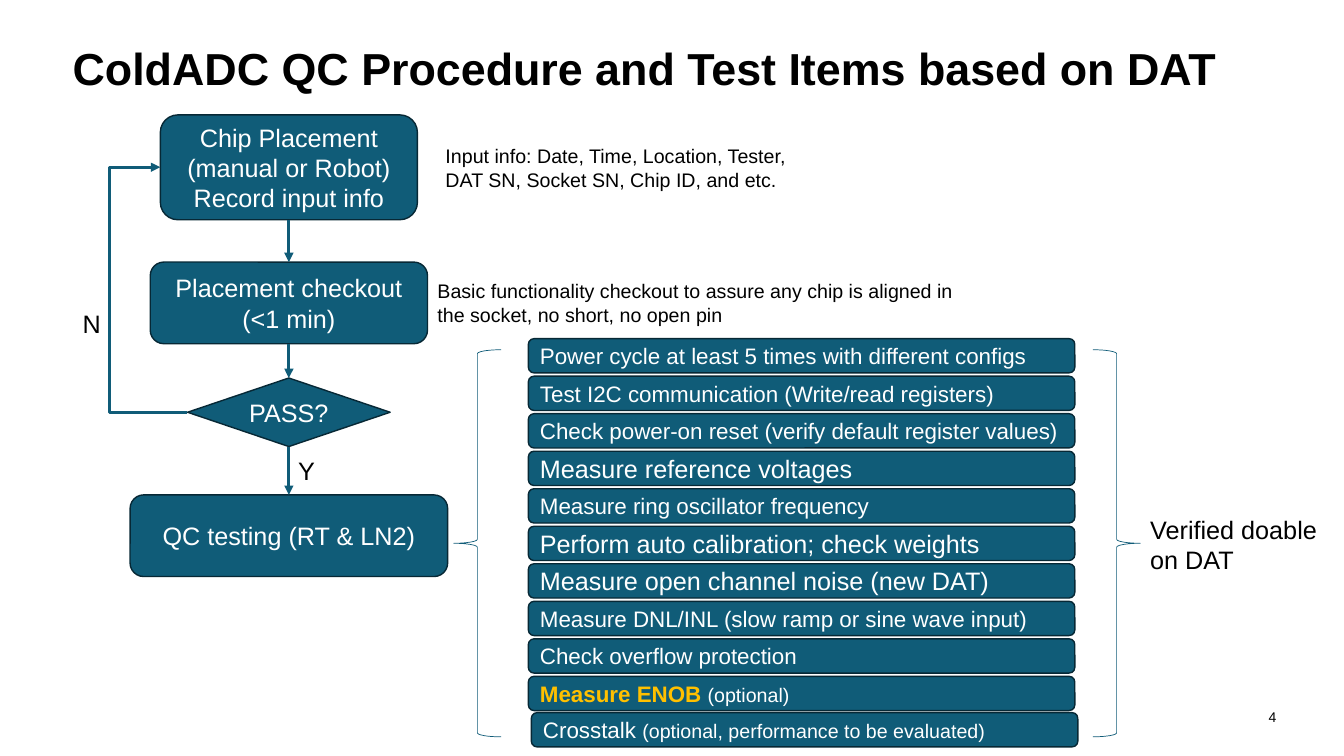
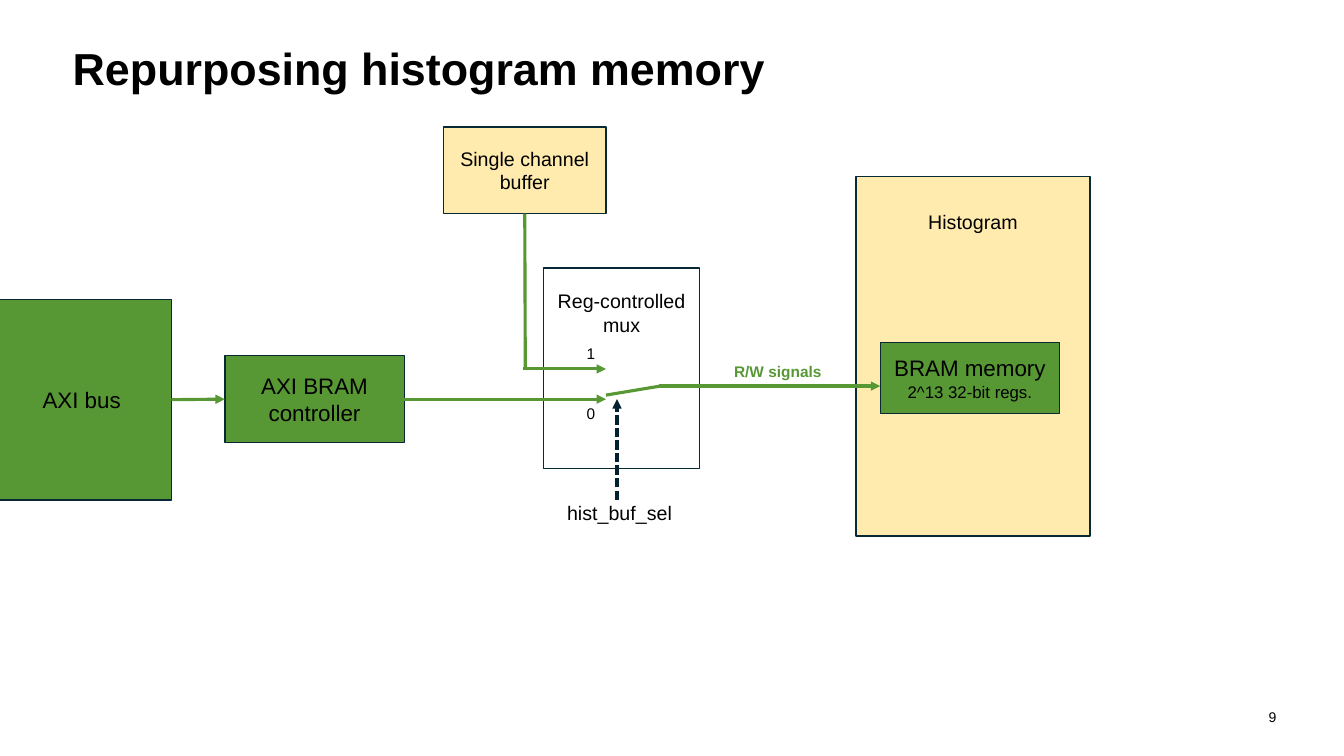
import dataclasses
import typing

import lxml.etree
import pptx
import pptx.dml.color
import pptx.enum.dml
import pptx.enum.shapes
import pptx.enum.text
import pptx.oxml.ns
import pptx.util

Inches = pptx.util.Inches
Preset = pptx.enum.shapes.MSO_SHAPE
Align = pptx.enum.text.PP_ALIGN
Anchor = pptx.enum.text.MSO_ANCHOR
qn = pptx.oxml.ns.qn

FONT = "Arial"
COLORS = {
    "black": "000000",
    "white": "FFFFFF",
    "teal": "105C78",
    "outline": "072835",
    "navy": "03222F",
    "gold": "FFC000",
    "cream": "FFEBAE",
    "green": "579835",
}


@dataclasses.dataclass(frozen=True)
class Run:
    text: str
    size: float
    color: str = "black"
    bold: bool = False


Paragraphs = typing.Sequence[typing.Sequence[Run]]
Point = tuple[float, float]


@dataclasses.dataclass(frozen=True)
class Box:
    left: float
    top: float
    width: float
    height: float
    paragraphs: Paragraphs = ()
    fill: str | None = None
    line: str = "outline"
    line_width: float = 1
    preset: Preset = Preset.RECTANGLE
    align: Align = Align.CENTER
    top_inset: float | None = None


@dataclasses.dataclass(frozen=True)
class Label:
    left: float
    top: float
    width: float
    height: float
    run: Run
    align: Align = Align.LEFT
    wrap: bool = True


@dataclasses.dataclass(frozen=True)
class Wire:
    begin: Point
    end: Point
    color: str = "green"
    arrow: bool = True
    dashed: bool = False


def rgb(name: str) -> pptx.dml.color.RGBColor:
    return pptx.dml.color.RGBColor.from_string(COLORS[name])


def lines(text: str, size: float, color: str = "black") -> Paragraphs:
    return [[Run(line, size, color)] for line in text.split("\n")]


def write(text_frame, paragraphs: Paragraphs, align: Align) -> None:
    for index, runs in enumerate(paragraphs):
        paragraph = text_frame.add_paragraph() if index else text_frame.paragraphs[0]
        paragraph.alignment = align
        for item in runs:
            run = paragraph.add_run()
            run.text = item.text
            run.font.name = FONT
            run.font.size = pptx.util.Pt(item.size)
            run.font.bold = item.bold
            run.font.color.rgb = rgb(item.color)


def draw_box(slide, box: Box):
    shape = slide.shapes.add_shape(
        box.preset, Inches(box.left), Inches(box.top), Inches(box.width), Inches(box.height)
    )
    shape.shadow.inherit = False
    if box.fill:
        shape.fill.solid()
        shape.fill.fore_color.rgb = rgb(box.fill)
    else:
        shape.fill.background()
    shape.line.color.rgb = rgb(box.line)
    shape.line.width = pptx.util.Pt(box.line_width)
    text_frame = shape.text_frame
    text_frame.word_wrap = True
    text_frame.vertical_anchor = Anchor.MIDDLE
    if box.top_inset is not None:
        text_frame.vertical_anchor = Anchor.TOP
        text_frame.margin_top = Inches(box.top_inset)
    write(text_frame, box.paragraphs, box.align)
    return shape


def draw_label(slide, label: Label):
    shape = slide.shapes.add_textbox(
        Inches(label.left), Inches(label.top), Inches(label.width), Inches(label.height)
    )
    shape.text_frame.word_wrap = label.wrap
    write(shape.text_frame, [[label.run]], label.align)
    return shape


def draw_wire(slide, wire: Wire, begin=None, end=None, bend: float | None = None) -> None:
    kinds = pptx.enum.shapes.MSO_CONNECTOR
    connector = slide.shapes.add_connector(
        kinds.STRAIGHT if bend is None else kinds.ELBOW,
        *(Inches(value) for value in wire.begin + wire.end),
    )
    if begin:
        connector.begin_connect(*begin)
    if end:
        connector.end_connect(*end)
    connector.line.color.rgb = rgb(wire.color)
    connector.line.width = pptx.util.Pt(2.25)
    if wire.dashed:
        connector.line.dash_style = pptx.enum.dml.MSO_LINE.SQUARE_DOT
    properties = connector.element.spPr
    if wire.arrow:
        lxml.etree.SubElement(properties.find(qn("a:ln")), qn("a:tailEnd"), type="triangle")
    lxml.etree.SubElement(properties, qn("a:effectLst"))
    if bend is not None:
        adjustments = properties.find(qn("a:prstGeom")).find(qn("a:avLst"))
        lxml.etree.SubElement(
            adjustments, qn("a:gd"), name="adj1", fmla=f"val {round(bend * 100000)}"
        )


def add_slide(presentation, title: str, number: int):
    slide = presentation.slides.add_slide(presentation.slide_layouts[5])
    heading = slide.shapes.title
    heading.left, heading.top = Inches(0.62), Inches(0.4)
    heading.width, heading.height = Inches(12.08), Inches(0.61)
    text_frame = heading.text_frame
    text_frame.auto_size = pptx.enum.text.MSO_AUTO_SIZE.NONE
    text_frame.vertical_anchor = Anchor.MIDDLE
    write(text_frame, [[Run(title, 32, bold=True)]], Align.LEFT)
    text_frame.paragraphs[0].line_spacing = 0.9

    footer = draw_label(
        slide, Label(12.24, 6.91, 0.47, 0.4, Run(str(number), 10), Align.RIGHT)
    ).text_frame
    footer.vertical_anchor = Anchor.MIDDLE
    footer.margin_left = footer.margin_top = footer.margin_bottom = 0
    footer.margin_right = Inches(0.05)
    return slide


def build_procedure(presentation) -> None:
    slide = add_slide(presentation, "ColdADC QC Procedure and Test Items based on DAT", 4)

    def step(left, top, width, height, text, preset=Preset.ROUNDED_RECTANGLE):
        return draw_box(
            slide,
            Box(left, top, width, height, lines(text, 18, "white"), "teal", preset=preset),
        )

    placement = step(
        1.59, 1.14, 2.55, 1.04, "Chip Placement\n(manual or Robot)\nRecord input info"
    )
    checkout = step(1.49, 2.6, 2.75, 0.81, "Placement checkout\n(<1 min)")
    decision = step(1.86, 3.75, 2.01, 0.68, "PASS?", Preset.DIAMOND)
    testing = step(1.29, 4.91, 3.15, 0.81, "QC testing (RT & LN2)")

    flow = [placement, checkout, decision, testing]
    for upper, lower in zip(flow, flow[1:]):
        draw_wire(slide, Wire((0, 0), (0, 0), "teal"), (upper, 2), (lower, 0))
    retry = Wire((1.86, 4.09), (1.59, 1.66), "teal")
    retry_left = 1.09
    bend = (retry.begin[0] - retry_left) / (retry.begin[0] - retry.end[0])
    draw_wire(slide, retry, (decision, 1), (placement, 1), bend)

    for label in (
        Label(4.32, 1.38, 3.91, 0.57, Run(
            "Input info: Date, Time, Location, Tester, DAT SN, Socket SN, Chip ID, and etc.", 14)),
        Label(4.24, 2.72, 5.35, 0.57, Run(
            "Basic functionality checkout to assure any chip is aligned in the socket, "
            "no short, no open pin", 14)),
        Label(2.86, 4.47, 0.37, 0.4, Run("Y", 18), wrap=False),
        Label(0.72, 3.01, 0.38, 0.4, Run("N", 18), wrap=False),
        Label(11.31, 5.05, 1.93, 0.71, Run("Verified doable on DAT", 18)),
    ):
        draw_label(slide, label)

    for left, preset in ((4.5, Preset.LEFT_BRACE), (10.84, Preset.RIGHT_BRACE)):
        draw_box(slide, Box(left, 3.47, 0.47, 3.84, line="teal", line_width=0.5, preset=preset))

    def test_item(left: float, top: float, runs: typing.Sequence[Run]) -> None:
        draw_box(
            slide,
            Box(left, top, 5.42, 0.34, [runs], "teal",
                preset=Preset.ROUNDED_RECTANGLE, align=Align.LEFT),
        )

    test_items = [
        [Run(text, size, "white")]
        for text, size in (
            ("Power cycle at least 5 times with different configs", 16),
            ("Test I2C communication (Write/read registers)", 16),
            ("Check power-on reset (verify default register values)", 16),
            ("Measure reference voltages", 18),
            ("Measure ring oscillator frequency", 16),
            ("Perform auto calibration; check weights", 18),
            ("Measure open channel noise (new DAT)", 18),
            ("Measure DNL/INL (slow ramp or sine wave input)", 16),
            ("Check overflow protection", 16),
        )
    ]
    test_items.append([Run("Measure ENOB ", 16, "gold", True), Run("(optional)", 14, "white")])
    first_top, last_top = 3.36, 6.71
    pitch = (last_top - first_top) / (len(test_items) - 1)
    for index, runs in enumerate(test_items):
        test_item(5.24, first_top + index * pitch, runs)
    test_item(5.27, 7.07, [
        Run("Crosstalk ", 16, "white"),
        Run("(optional, performance to be evaluated)", 14, "white"),
    ])


def build_memory(presentation) -> None:
    slide = add_slide(presentation, "Repurposing histogram memory", 9)

    channel_buffer = draw_box(
        slide, Box(4.4, 1.26, 1.61, 0.86, lines("Single channel buffer", 14), "cream"))
    draw_box(
        slide, Box(8.49, 1.75, 2.32, 3.57, lines("Histogram", 14), "cream", top_inset=0.33))
    draw_box(slide, Box(8.73, 3.4, 1.78, 0.7, [
        [Run("BRAM memory", 16)], [Run("2^13 32-bit regs.", 12)]], "green"))
    bus = draw_box(slide, Box(-0.08, 2.97, 1.78, 1.99, lines("AXI bus", 16), "green"))
    controller = draw_box(
        slide, Box(2.23, 3.53, 1.78, 0.86, lines("AXI BRAM controller", 16), "green"))
    draw_box(
        slide, Box(5.39, 2.66, 1.55, 1.99, lines("Reg-controlled mux", 14), top_inset=0.21))

    input_x, bus_y, buffer_y, output_y = 6.01, 3.96, 3.66, 3.83
    buffer_x = 5.21
    draw_wire(slide, Wire((1.7, bus_y), (2.23, bus_y)), (bus, 3), (controller, 1))
    draw_wire(slide, Wire((4.01, bus_y), (input_x, bus_y)), (controller, 3))
    draw_wire(
        slide, Wire((buffer_x, 2.12), (buffer_x, buffer_y), arrow=False), (channel_buffer, 2))
    for wire in (
        Wire((buffer_x - 0.02, buffer_y), (input_x, buffer_y)),
        Wire((6.54, output_y), (8.73, output_y)),
        Wire((6.55, output_y), (input_x, 3.92), arrow=False),
        Wire((6.12, 4.96), (6.12, bus_y), "navy", dashed=True),
    ):
        draw_wire(slide, wire)

    for label in (
        Label(5.72, 3.96, 0.4, 0.29, Run("0", 11)),
        Label(5.72, 3.36, 0.4, 0.29, Run("1", 11)),
        Label(5.06, 4.92, 2.17, 0.34, Run("hist_buf_sel", 14), Align.CENTER),
        Label(7.17, 3.54, 1.09, 0.29, Run("R/W signals", 11, "green", True), Align.CENTER),
    ):
        draw_label(slide, label)


def main() -> None:
    presentation = pptx.Presentation()
    presentation.slide_width = Inches(13.33)
    presentation.slide_height = Inches(7.5)
    build_procedure(presentation)
    build_memory(presentation)
    presentation.save("out.pptx")


if __name__ == "__main__":
    main()
